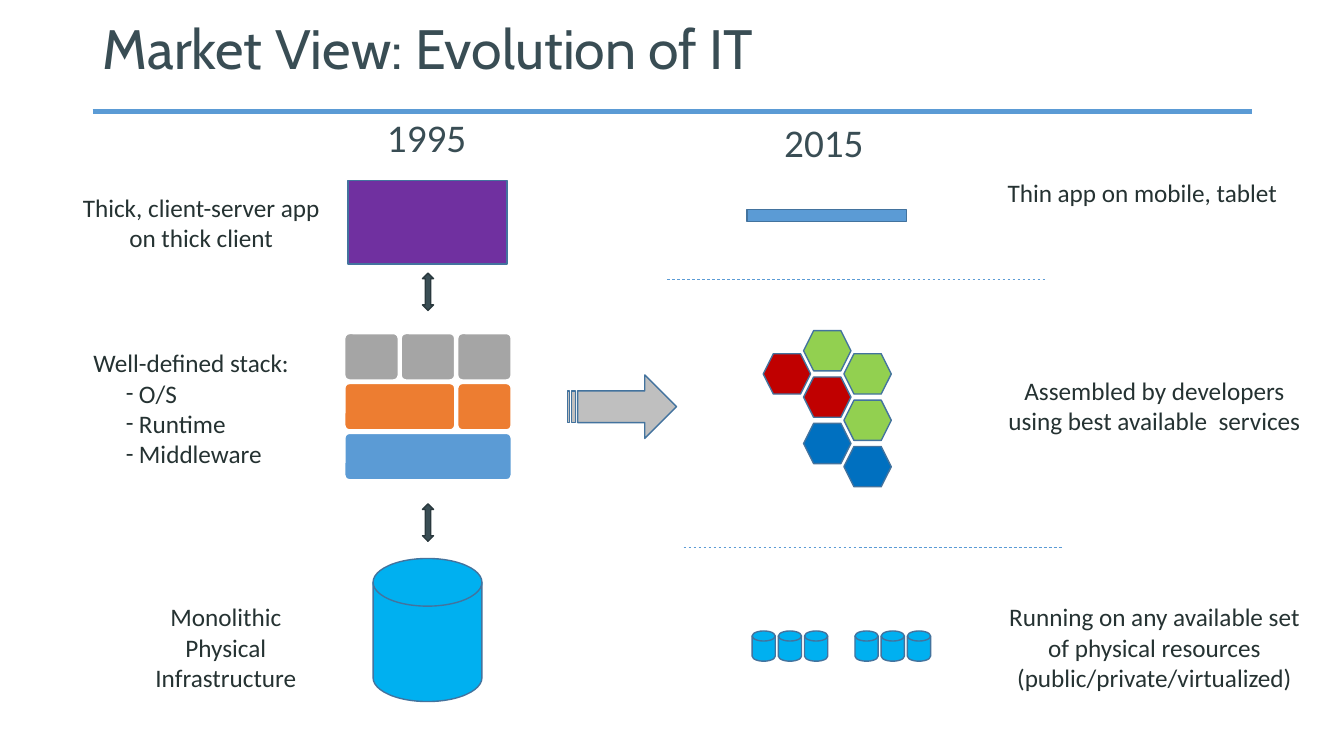
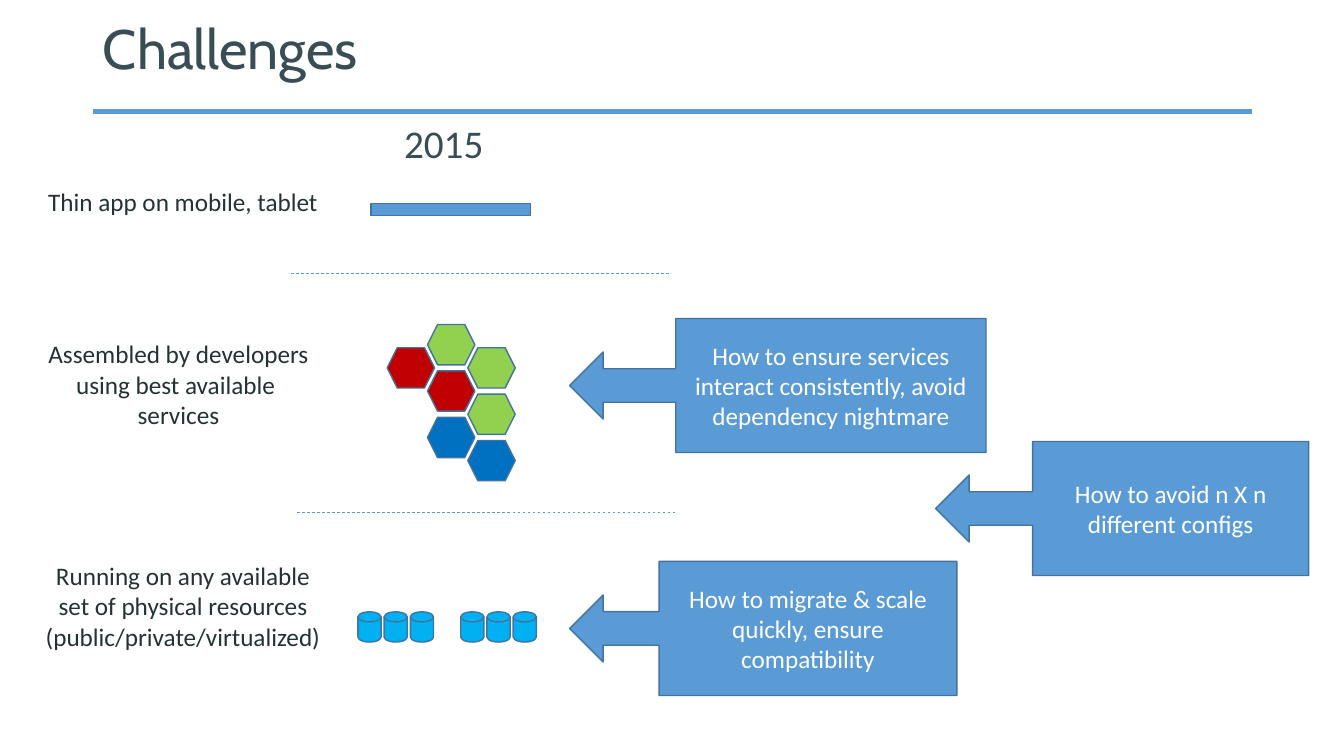
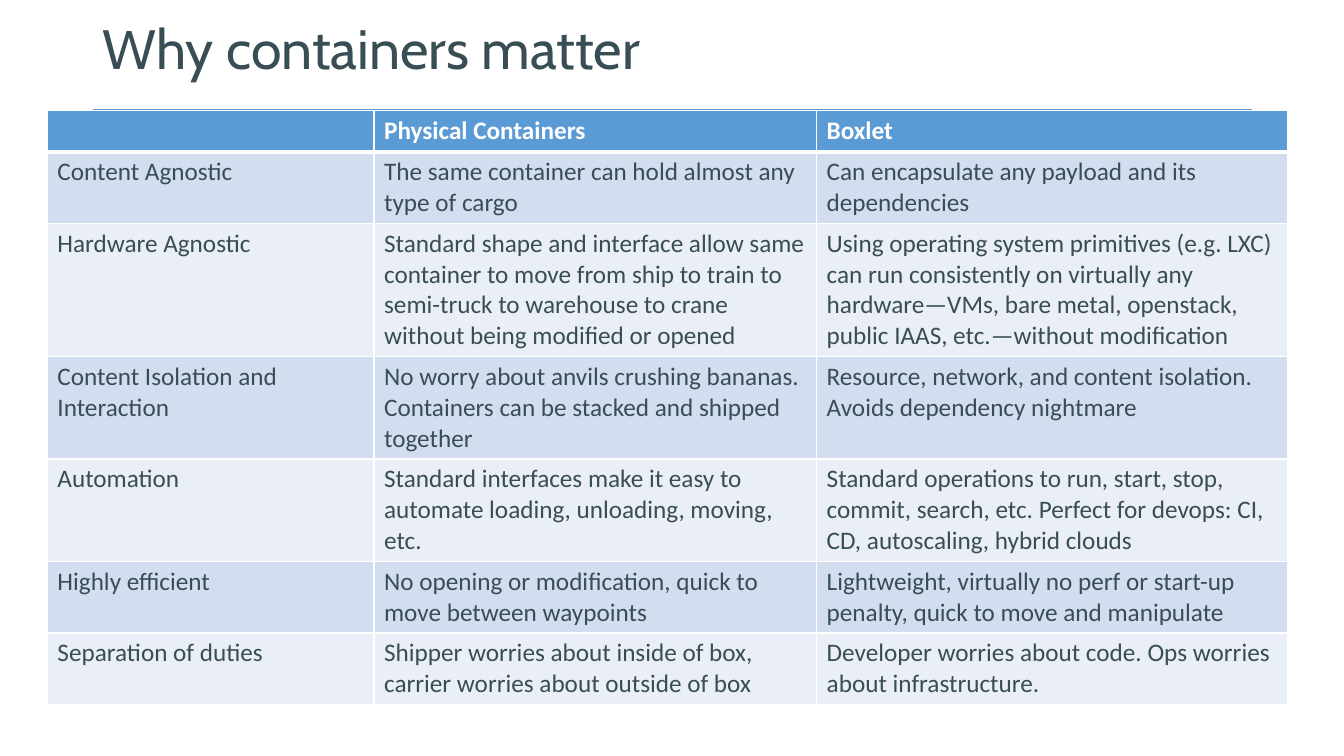
from dataclasses import dataclass

from lxml.etree import SubElement
from pptx import Presentation
from pptx.dml.color import RGBColor
from pptx.enum.dml import MSO_LINE
from pptx.enum.shapes import MSO_CONNECTOR, MSO_SHAPE as SHAPE
from pptx.enum.text import MSO_ANCHOR as ANCHOR, MSO_AUTO_SIZE as AUTO, PP_ALIGN as ALIGN
from pptx.oxml.ns import qn
from pptx.util import Pt

PX = 9144  # 100 px to the inch


@dataclass(frozen=True)
class Theme:
    title_font: str = "Cabin"
    body_font: str = "Calibri"
    title_size: float = 39.6
    year_size: int = 28
    body_size: int = 18
    slate: str = "394D54"
    slate_edge: str = "2A393E"
    ink: str = "253232"
    white: str = "FFFFFF"
    blue: str = "5B9BD5"
    edge: str = "43739E"
    purple: str = "7030A0"
    orange: str = "ED7D31"
    gray: str = "A5A5A5"
    silver: str = "BFBFBF"
    red: str = "C00000"
    green: str = "92D050"
    navy: str = "0070C0"
    cyan: str = "00B0F0"
    bands: tuple = ("D2DEEF", "EAEFF7")


T = Theme()

# ---- Content ----
THIN_APP = ["Thin app on mobile, tablet"]
ASSEMBLED = ["Assembled by developers using best available  services"]
RUNNING = ["Running on any available set of physical resources",
           "(public/private/virtualized)"]

# Services as (column, half row, colour)
SERVICES = [(0, 1, T.red), (1, 2, T.red), (2, 1, T.green), (1, 0, T.green),
            (2, 3, T.green), (1, 4, T.navy), (2, 5, T.navy)]
# Stack layers from the top: colour and the columns each block spans
LAYERS = [(T.gray, (1, 1, 1)), (T.orange, (2, 1)), (T.blue, (3,))]

EVOLUTION = {
    "title": "Market View: Evolution of IT",
    "modern": {"bar": (741, 208), "year": (768, 112), "infra_divider": (678, 543),
               "servers": (746, 626)},
    # (left, top, width, height), centred lines, bulleted lines
    "labels": [((990, 592, 310, 101), RUNNING, []),
               ((978, 367, 334, 71), ASSEMBLED, []),
               ((966, 171, 334, 40), THIN_APP, []),
               ((69, 186, 261, 71), ["Thick, client-server app on thick client"], []),
               ((70, 340, 239, 131), ["Well-defined stack:"],
                ["O/S", "Runtime", "Middleware"]),
               ((104, 592, 240, 101), ["Monolithic", "Physical", "Infrastructure"], [])],
}
CHALLENGES = {
    "title": "Challenges",
    "modern": {"bar": (368, 202), "year": (391, 113), "infra_divider": (295, 508),
               "servers": (355, 607)},
    "labels": [((35, 551, 293, 101), RUNNING, []),
               ((26, 331, 302, 101), ASSEMBLED, []),
               ((35, 180, 293, 40), THIN_APP, [])],
    # (left, top, width), share of the width taken by the box, question
    "callouts": [
        ((565, 316, 413), 0.745,
         "How to ensure services interact consistently, avoid dependency nightmare"),
        ((565, 557, 384), 0.769, "How to migrate & scale quickly, ensure compatibility"),
        ((928, 438, 370), 0.74, "How to avoid n X n different configs")],
}
WHY = {
    "title": "Why containers matter",
    "columns": (324, 439, 467),
    "header": ("", "Physical Containers", "Boxlet"),
    # Number of text lines, then the three cells
    "rows": [
        (2, "Content Agnostic",
         "The same container can hold almost any type of cargo",
         "Can encapsulate any payload and its dependencies"),
        (4, "Hardware Agnostic",
         "Standard shape and interface allow same container to move from ship to train "
         "to semi-truck to warehouse to crane without being modified or opened",
         "Using operating system primitives (e.g. LXC) can run consistently on virtually "
         "any hardware—VMs, bare metal, openstack, public IAAS, etc.—without modification"),
        (3, "Content Isolation and Interaction",
         "No worry about anvils crushing bananas. Containers can be stacked and shipped "
         "together",
         "Resource, network, and content isolation. Avoids dependency nightmare"),
        (3, "Automation",
         "Standard interfaces make it easy to automate loading, unloading, moving, etc.",
         "Standard operations to run, start, stop, commit, search, etc. Perfect for "
         "devops: CI, CD, autoscaling, hybrid clouds"),
        (2, "Highly efficient",
         "No opening or modification, quick to move between waypoints",
         "Lightweight, virtually no perf or start-up penalty, quick to move and manipulate"),
        (2, "Separation of duties",
         "Shipper worries about inside of box, carrier worries about outside of box",
         "Developer worries about code. Ops worries about infrastructure."),
    ],
}


# ---- Helpers ----
def px(*lengths):
    return [round(length * PX) for length in lengths]


def rgb(color):
    return RGBColor.from_string(color)


def style(paragraph, size, color, font=T.body_font, bold=None, align=None):
    paragraph.font.size = Pt(size)
    paragraph.font.name = font
    paragraph.font.color.rgb = rgb(color)
    paragraph.font.bold = bold
    paragraph.alignment = align


def add_block(parent, kind, box, fill, edge=T.edge, adjust=()):
    block = parent.shapes.add_shape(kind, *px(*box))
    block.shadow.inherit = False
    block.fill.solid()
    block.fill.fore_color.rgb = rgb(fill)
    block.line.color.rgb = rgb(edge)
    block.line.width = Pt(1)
    for i, value in enumerate(adjust):
        block.adjustments[i] = value
    return block


def add_rule(slide, left, top, width, weight, dash=None):
    rule = slide.shapes.add_connector(MSO_CONNECTOR.STRAIGHT,
                                      *px(left, top, left + width, top))
    rule.line.color.rgb = rgb(T.blue)
    rule.line.width = Pt(weight)
    rule.line.dash_style = dash
    SubElement(rule.element.spPr, qn("a:effectLst"))
    return rule


def add_bullet(paragraph):
    props = paragraph._p.get_or_add_pPr()
    indent, hang = px(58, 13)
    props.set("marL", str(indent))
    props.set("indent", str(-hang))
    SubElement(props, qn("a:buFont")).set("typeface", T.body_font)
    SubElement(props, qn("a:buChar")).set("char", "-")


def add_label(slide, box, lines, bullets):
    frame = slide.shapes.add_textbox(*px(*box)).text_frame
    frame.word_wrap = True
    frame.auto_size = AUTO.SHAPE_TO_FIT_TEXT
    frame.text = "\n".join(lines + bullets)
    for i, paragraph in enumerate(frame.paragraphs):
        bulleted = i >= len(lines)
        if bulleted:
            add_bullet(paragraph)
        style(paragraph, T.body_size, T.ink,
              align=ALIGN.LEFT if bulleted else ALIGN.CENTER)


def add_year(slide, year, left, top):
    frame = slide.shapes.add_textbox(*px(left, top, 100, 57)).text_frame
    frame.word_wrap = False
    frame.auto_size = AUTO.SHAPE_TO_FIT_TEXT
    frame.text = year
    style(frame.paragraphs[0], T.year_size, T.slate)


def add_titled_slide(deck, layout, title):
    slide = deck.slides.add_slide(layout)
    frame = slide.shapes.title.text_frame
    frame.text = title
    frame.paragraphs[0].line_spacing = 0.9
    style(frame.paragraphs[0], T.title_size, T.slate, T.title_font, align=ALIGN.LEFT)
    return slide


def set_borders(cell, bottom):
    props = cell._tc.get_or_add_tcPr()
    for side, weight in (("L", 1), ("R", 1), ("T", 1), ("B", bottom)):
        border = SubElement(props, qn(f"a:ln{side}"), w=str(Pt(weight)))
        SubElement(SubElement(border, qn("a:solidFill")), qn("a:srgbClr"), val=T.white)


# ---- Diagram parts ----
def draw_modern(slide, bar, year, infra_divider, servers):
    """The 2015 column: thin app, services and servers."""
    left, top = bar
    add_year(slide, "2015", *year)
    add_block(slide, SHAPE.RECTANGLE, (left, top, 158, 12), T.blue)
    for x, y in ((left - 79, top + 69), infra_divider):
        add_rule(slide, x, y, 375, 0.5, MSO_LINE.DASH)
    services = slide.shapes.add_group_shape()
    for column, half_row, color in SERVICES:
        add_block(services, SHAPE.HEXAGON,
                  (left + 16 + 40 * column, top + 120 + 23 * half_row, 47, 40), color)
    racks = slide.shapes.add_group_shape()
    x, y = servers
    for rack in range(2):
        for server in range(3):
            add_block(racks, SHAPE.FLOWCHART_MAGNETIC_DISK,
                      (x + 102 * rack + 26 * server, y, 23, 30), T.cyan)


def draw_classic(slide):
    """The 1995 column: thick client, stack and one large store."""
    add_year(slide, "1995", 374, 108)
    add_block(slide, SHAPE.RECTANGLE, (345, 179, 158, 83), T.purple)
    stack = slide.shapes.add_group_shape()
    width, gap = 53, 3
    for row, (color, spans) in enumerate(LAYERS):
        column = 0
        for span in spans:
            box = (342 + column * (width + gap), 331 + 49.5 * row,
                   span * (width + gap) - gap, 46)
            add_block(stack, SHAPE.ROUNDED_RECTANGLE, box, color, T.white, [0.1])
            column += span
    add_block(slide, SHAPE.FLOWCHART_MAGNETIC_DISK, (370, 554, 108, 142), T.cyan)
    for top in (271, 500):
        add_block(slide, SHAPE.UP_DOWN_ARROW, (419, top, 11, 37), T.slate, T.slate_edge)


def draw_callout(slide, place, share, question):
    callout = add_block(slide, SHAPE.LEFT_ARROW_CALLOUT, (*place, 133), T.blue,
                        adjust=[0.25, 0.25, 0.25, share])
    frame = callout.text_frame
    frame.word_wrap = True
    frame.vertical_anchor = ANCHOR.MIDDLE
    frame.text = question
    style(frame.paragraphs[0], T.body_size, T.white, align=ALIGN.CENTER)


def draw_comparison(slide, columns, header, rows):
    heights = [10 + 30 * lines for lines in (1, *(row[0] for row in rows))]
    texts = [header] + [row[1:] for row in rows]
    table = slide.shapes.add_table(len(texts), len(columns),
                                   *px(47, 110, sum(columns), sum(heights))).table
    for column, width in zip(table.columns, px(*columns)):
        column.width = width
    for r, (row, height) in enumerate(zip(table.rows, px(*heights))):
        row.height = height
        head = r == 0
        for cell, text in zip(row.cells, texts[r]):
            set_borders(cell, 3 if head else 1)
            cell.fill.solid()
            cell.fill.fore_color.rgb = rgb(T.blue if head else T.bands[(r - 1) % 2])
            cell.text = text
            style(cell.text_frame.paragraphs[0], T.body_size,
                  T.white if head else T.slate, bold=head)


def main():
    deck = Presentation()
    deck.slide_width, deck.slide_height = px(1333, 750)

    # Shared title place
    layout = deck.slide_layouts[5]
    heading = layout.placeholders[0]
    heading.left, heading.top, heading.width, heading.height = px(92, 15, 1150, 73)
    heading.text_frame.vertical_anchor = ANCHOR.MIDDLE
    heading.text_frame.auto_size = AUTO.NONE

    # Evolution
    evolution = add_titled_slide(deck, layout, EVOLUTION["title"])
    draw_classic(evolution)
    draw_modern(evolution, **EVOLUTION["modern"])
    add_block(evolution, SHAPE.STRIPED_RIGHT_ARROW, (563, 372, 108, 63), T.silver)
    for label in EVOLUTION["labels"]:
        add_label(evolution, *label)

    # Challenges
    challenges = add_titled_slide(deck, layout, CHALLENGES["title"])
    draw_modern(challenges, **CHALLENGES["modern"])
    for callout in CHALLENGES["callouts"]:
        draw_callout(challenges, *callout)
    for label in CHALLENGES["labels"]:
        add_label(challenges, *label)

    # Containers
    why = add_titled_slide(deck, layout, WHY["title"])
    draw_comparison(why, WHY["columns"], WHY["header"], WHY["rows"])

    # Title rule, moved to the layout so that all slides share it
    title_rule = add_rule(why, 92, 111, 1150, 3.75).element
    title_rule.nvCxnSpPr.cNvPr.set("id", "20")
    layout.shapes.element.append(title_rule)

    deck.save("out.pptx")


if __name__ == "__main__":
    main()
